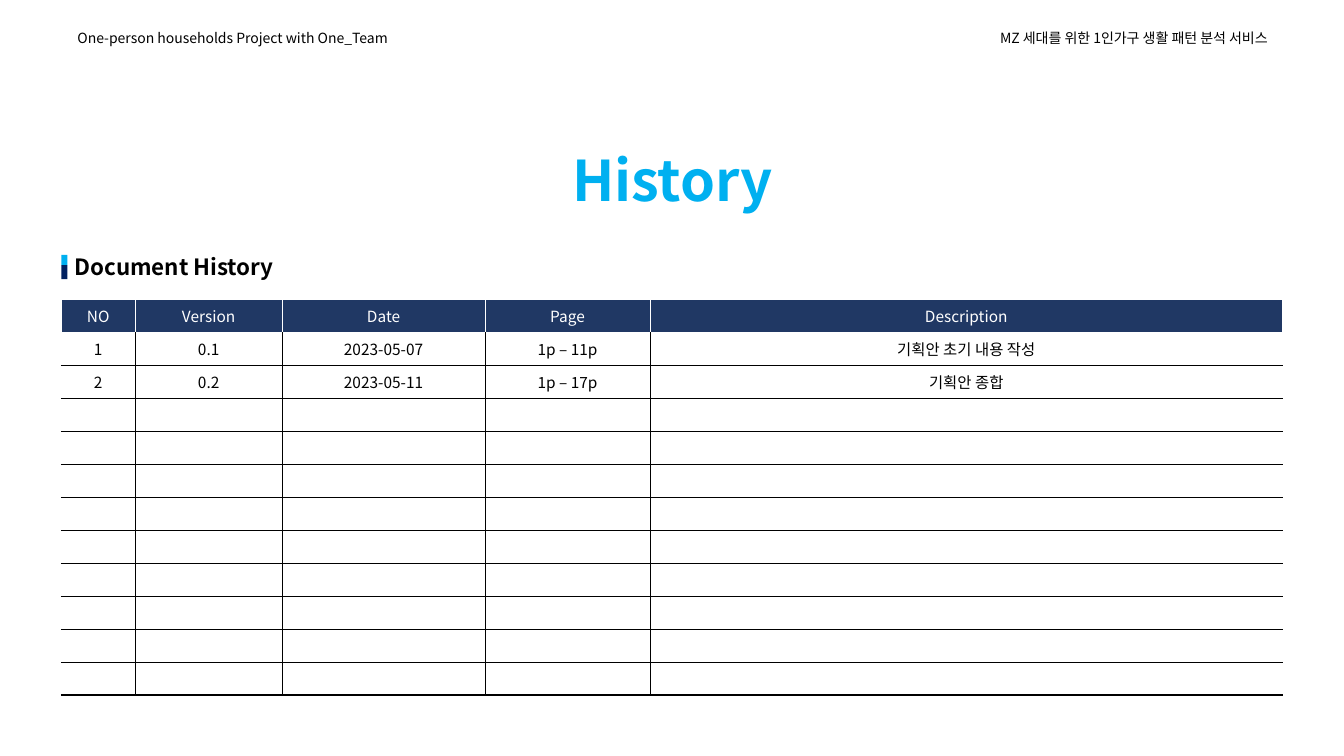
from lxml import etree
from pptx import Presentation
from pptx.dml.color import RGBColor
from pptx.enum import shapes, text
from pptx.oxml import ns
from pptx.util import Inches, Pt

FONT = "Noto Sans CJK KR"
BLACK = RGBColor(0x00, 0x00, 0x00)
WHITE = RGBColor(0xFF, 0xFF, 0xFF)
SKY = RGBColor(0x00, 0xB0, 0xF0)
NAVY = RGBColor(0x00, 0x20, 0x60)
HEADER_BLUE = RGBColor(0x20, 0x38, 0x64)
LEFT, CENTER, RIGHT = text.PP_ALIGN.LEFT, text.PP_ALIGN.CENTER, text.PP_ALIGN.RIGHT

COLUMN_WIDTHS = [0.73, 1.46, 2.01, 1.64, 6.27]
ROW_COUNT = 12
TABLE_HEIGHT = 3.93
HISTORY = [
    ["NO", "Version", "Date", "Page", "Description"],
    ["1", "0.1", "2023-05-07", "1p – 11p", "기획안 초기 내용 작성"],
    ["2", "0.2", "2023-05-11", "1p – 17p", "기획안 종합"],
]


class HistoryPage:
    def __init__(self, deck):
        self.page = deck.slides.add_slide(deck.slide_layouts[5])

    def style(self, para, size, color, align, bold=False):
        para.alignment = align
        font = para.font
        font.name, font.size, font.bold = FONT, Pt(size), bold
        font.color.rgb = color
        etree.SubElement(para._p.pPr.defRPr, ns.qn("a:ea"), typeface=FONT)

    def fill_frame(self, shape, words, size, color, align, bold):
        frame = shape.text_frame
        frame.word_wrap = True
        frame.auto_size = text.MSO_AUTO_SIZE.NONE
        frame.vertical_anchor = text.MSO_ANCHOR.MIDDLE
        frame.text = words
        self.style(frame.paragraphs[0], size, color, align, bold)

    def title(self, words, left, top, width, height):
        title = self.page.shapes.title
        title.left, title.top = Inches(left), Inches(top)
        title.width, title.height = Inches(width), Inches(height)
        self.fill_frame(title, words, 40, SKY, CENTER, True)

    def label(self, words, left, top, width, height, size, align=LEFT, bold=False):
        box = self.page.shapes.add_textbox(
            Inches(left), Inches(top), Inches(width), Inches(height))
        self.fill_frame(box, words, size, BLACK, align, bold)

    def bar(self, left, top, width, height, color):
        bar = self.page.shapes.add_shape(
            shapes.MSO_SHAPE.RECTANGLE,
            Inches(left), Inches(top), Inches(width), Inches(height))
        bar.shadow.inherit = False
        bar.fill.solid()
        bar.fill.fore_color.rgb = color
        bar.line.fill.background()

    def borders(self, cell, edges):
        properties = cell._tc.get_or_add_tcPr()
        for index, (side, (color, points)) in enumerate(edges.items()):
            line = etree.Element(ns.qn(f"a:ln{side}"), w=str(Pt(points)))
            fill = etree.SubElement(line, ns.qn("a:solidFill"))
            etree.SubElement(fill, ns.qn("a:srgbClr"), val=str(color))
            properties.insert(index, line)

    def cell(self, cell, words, fill, color):
        cell.fill.solid()
        cell.fill.fore_color.rgb = fill
        cell.vertical_anchor = text.MSO_ANCHOR.MIDDLE
        cell.text = words
        para = cell.text_frame.paragraphs[0]
        self.style(para, 11, color, CENTER)
        if not words:  # keeps empty rows from growing
            etree.SubElement(para._p, ns.qn("a:endParaRPr"), sz="1100")

    def table(self, rows, left, top):
        columns = len(COLUMN_WIDTHS)
        table = self.page.shapes.add_table(
            ROW_COUNT, columns, Inches(left), Inches(top),
            Inches(sum(COLUMN_WIDTHS)), Inches(TABLE_HEIGHT)).table
        table.first_row = table.horz_banding = False
        for column, width in zip(table.columns, COLUMN_WIDTHS):
            column.width = Inches(width)
        for r, row in enumerate(table.rows):
            row.height = Inches(TABLE_HEIGHT / ROW_COUNT)
            header = r == 0
            words = rows[r] if r < len(rows) else [""] * columns
            inner = (WHITE if header else BLACK, 0.25)
            for c, cell in enumerate(row.cells):
                self.cell(cell, words[c], HEADER_BLUE if header else WHITE,
                          WHITE if header else BLACK)
                edges = {}
                if c > 0:
                    edges["L"] = inner
                if c < columns - 1:
                    edges["R"] = inner
                edges["T"] = (WHITE if r < 2 else BLACK, 0.25)
                edges["B"] = (BLACK, 1.5) if r == ROW_COUNT - 1 else inner
                self.borders(cell, edges)


def main():
    deck = Presentation()
    deck.slide_width, deck.slide_height = Inches(13.33), Inches(7.5)
    page = HistoryPage(deck)

    # Running header
    page.label("One-person households Project with One_Team", 0.67, 0.24, 3.58, 0.27, 10)
    page.label("MZ 세대를 위한 1인가구 생활 패턴 분석 서비스",
               9.09, 0.24, 3.58, 0.27, 10, RIGHT)

    # Title
    page.title("History", 5.1, 1.39, 3.14, 0.77)

    # Section heading with its two-tone marker
    page.bar(0.61, 2.53, 0.06, 0.1, SKY)
    page.bar(0.61, 2.63, 0.06, 0.14, NAVY)
    page.label("Document History", 0.64, 2.46, 3.97, 0.37, 16, bold=True)

    # Version table
    page.table(HISTORY, 0.61, 2.97)

    deck.save("out.pptx")


if __name__ == "__main__":
    main()
